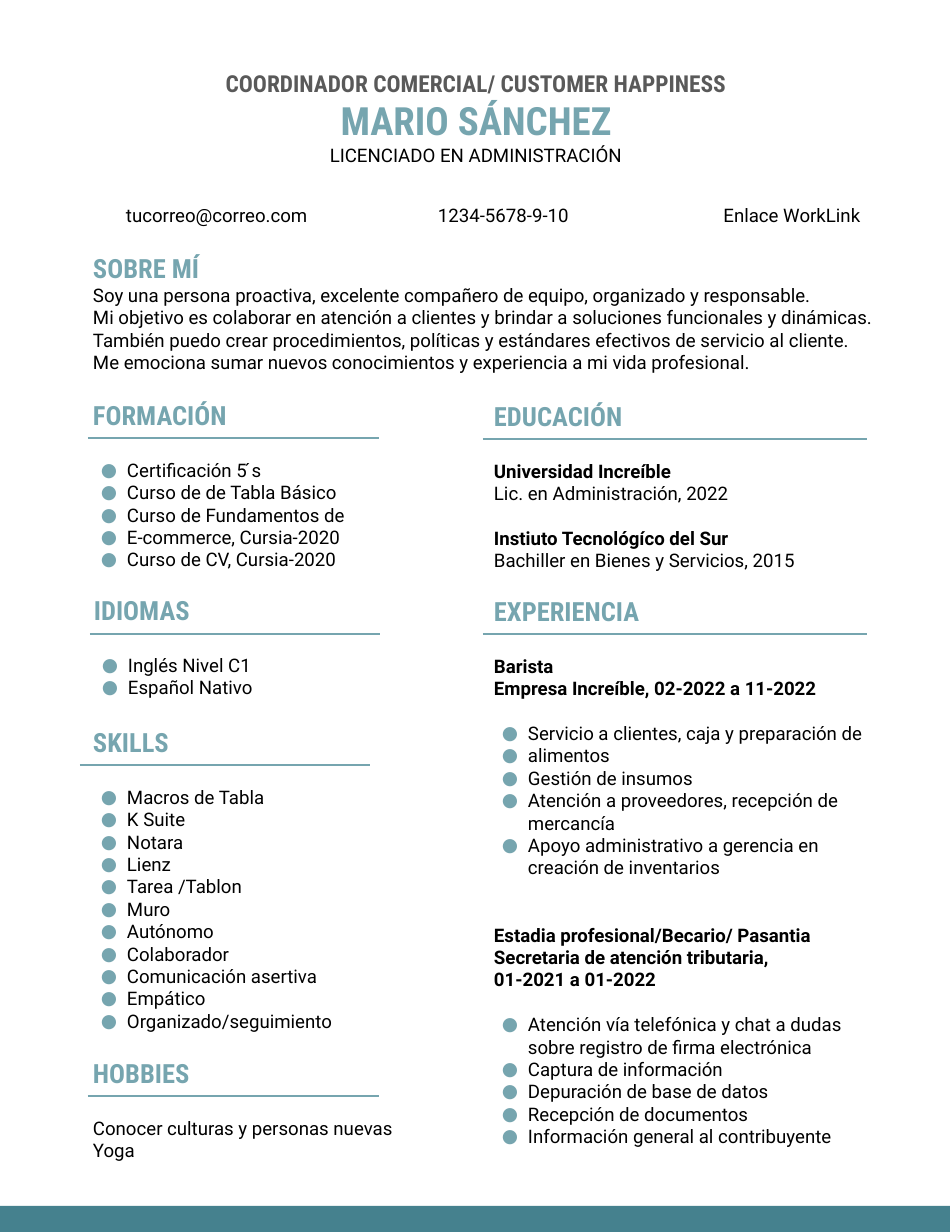
from copy import deepcopy
from lxml.etree import SubElement
from pptx import Presentation
from pptx.dml.color import RGBColor
from pptx.enum.shapes import MSO_CONNECTOR, MSO_SHAPE
from pptx.enum.text import MSO_ANCHOR, MSO_AUTO_SIZE, PP_ALIGN
from pptx.oxml.ns import qn
from pptx.util import Pt

PX = 914400 / 112
TEAL = "76A5AF"


def px(n):
    return round(n * PX)


def tint(fmt, code):
    fmt.rgb = RGBColor.from_string(code)


LEFT, MID, RIGHT = PP_ALIGN.LEFT, PP_ALIGN.CENTER, PP_ALIGN.RIGHT
looks = {
    "role": ({"name": "Roboto Condensed", "size": Pt(15), "bold": True}, "595959"),
    "name": ({"name": "Roboto Condensed", "size": Pt(25), "bold": True}, TEAL),
    "head": ({"name": "Roboto Condensed", "size": Pt(17), "bold": True}, TEAL),
    "bold": ({"name": "Roboto", "size": Pt(12), "bold": True}, "000000"),
    "text": ({"name": "Roboto", "size": Pt(12), "bold": False}, "000000"),
}
looks["list"] = looks["text"]
frame = {
    "word_wrap": True,
    "auto_size": MSO_AUTO_SIZE.SHAPE_TO_FIT_TEXT,
    "vertical_anchor": MSO_ANCHOR.TOP,
    "margin_left": px(11),
    "margin_right": px(11),
    "margin_top": px(11),
    "margin_bottom": px(11),
}

HEAD, LINE = 18, 14.4
boxes = [
    (0, (110, 58, 732, 149), MID, [
        ("role", 0, ["COORDINADOR COMERCIAL/ CUSTOMER HAPPINESS"]),
        ("name", 0, ["MARIO SÁNCHEZ"]),
        ("text", 0, ["LICENCIADO EN ADMINISTRACIÓN"]),
    ]),
    (1, (82, 388, 301, 196), LEFT, [
        ("head", 0, ["FORMACIÓN"]),
        ("list", HEAD, [
            "Certificación 5 ́s",
            "Curso de de Tabla Básico",
            "Curso de Fundamentos de",
            "E-commerce, Cursia-2020",
            "Curso de CV, Cursia-2020",
        ]),
    ]),
    (2, (83, 583, 301, 128), LEFT, [
        ("head", 0, ["IDIOMAS"]),
        ("list", HEAD, ["Inglés Nivel C1", "Español Nativo"]),
    ]),
    (3, (82, 715, 284, 332), LEFT, [
        ("head", 0, ["SKILLS"]),
        ("list", HEAD, [
            "Macros de Tabla",
            "K Suite",
            "Notara",
            "Lienz",
            "Tarea /Tablon",
            "Muro",
            "Autónomo",
            "Colaborador",
            "Comunicación asertiva",
            "Empático",
            "Organizado/seguimiento",
        ]),
    ]),
    (4, (483, 584, 405, 626), LEFT, [
        ("head", 0, ["EXPERIENCIA"]),
        ("bold", HEAD, ["Barista", "Empresa Increíble, 02-2022 a 11-2022"]),
        ("list", LINE, [
            "Servicio a clientes, caja y preparación de",
            "alimentos",
            "Gestión de insumos",
            "Atención a proveedores, recepción de mercancía",
            "Apoyo administrativo a gerencia en creación de inventarios",
        ]),
        ("bold", 2 * LINE, [
            "Estadia profesional/Becario/ Pasantia",
            "Secretaria de atención tributaria, \n01-2021 a 01-2022",
        ]),
        ("list", LINE, [
            "Atención vía telefónica y chat a dudas sobre registro de firma electrónica",
            "Captura de información",
            "Depuración de base de datos",
            "Recepción de documentos",
            "Información general al contribuyente",
        ]),
    ]),
    (None, (483, 389, 405, 218), LEFT, [
        ("head", 0, ["EDUCACIÓN"]),
        ("bold", HEAD, ["Universidad Increíble"]),
        ("text", 0, ["Lic. en Administración, 2022"]),
        ("bold", LINE, ["Instiuto Tecnológíco del Sur"]),
        ("text", 0, ["Bachiller en Bienes y Servicios, 2015"]),
    ]),
    (None, (82, 1046, 330, 151), LEFT, [
        ("head", 0, ["HOBBIES"]),
        ("text", HEAD, ["Conocer culturas y personas nuevas", "Yoga"]),
    ]),
    (None, (82, 241, 809, 146), LEFT, [
        ("head", 0, ["SOBRE MÍ"]),
        ("text", 0, [
            "Soy una persona proactiva, excelente compañero de equipo, organizado y responsable.",
            "Mi objetivo es colaborar en atención a clientes y brindar a soluciones funcionales y dinámicas. "
            "También puedo crear procedimientos, políticas y estándares efectivos de servicio al cliente. "
            "Me emociona sumar nuevos conocimientos y experiencia a mi vida profesional.",
        ]),
    ]),
    (None, (115, 193, 222, 45), LEFT, [("text", 0, ["tucorreo@correo.com"])]),
    (None, (427, 193, 194, 45), LEFT, [("text", 0, ["1234-5678-9-10"])]),
    (None, (654, 193, 222, 45), RIGHT, [("text", 0, ["Enlace WorkLink "])]),
]

deck = Presentation()
deck.slide_width, deck.slide_height = px(952), px(1232)
slide = deck.slides.add_slide(deck.slide_layouts[4])
slots = {s.placeholder_format.idx: s for s in slide.placeholders}

for slot, (x, y, w, h), align, groups in boxes:
    area = [px(n) for n in (x, y, w, h)]
    if slot is None:
        box = slide.shapes.add_textbox(*area)
    else:
        box = slots[slot]
        box.left, box.top, box.width, box.height = area
    body = box.text_frame
    for key, val in frame.items():
        setattr(body, key, val)
    rows = [(kind, 0 if i else gap, text)
            for kind, gap, texts in groups for i, text in enumerate(texts)]
    for i, (kind, gap, text) in enumerate(rows):
        para = body.add_paragraph() if i else body.paragraphs[0]
        para.text = text
        para.alignment = align
        para.space_before = Pt(gap)
        prop = para._p.get_or_add_pPr()
        dot = kind == "list"
        prop.set("marL", str(px(34) if dot else 0))
        prop.set("indent", str(px(-26) if dot else 0))
        if dot:
            tone = SubElement(prop, qn("a:buClr"))
            SubElement(tone, qn("a:srgbClr"), val=TEAL)
            SubElement(prop, qn("a:buFont"), typeface="Roboto")
            SubElement(prop, qn("a:buChar"), char="●")
        else:
            SubElement(prop, qn("a:buNone"))
        font, code = looks[kind]
        for run in para.runs:
            for key, val in font.items():
                setattr(run.font, key, val)
            tint(run.font.color, code)
        for gap_el in para._p.findall(qn("a:br")):
            gap_el.append(deepcopy(para.runs[0]._r.rPr))

rules = [(88, 438, 291), (90, 634, 290), (80, 765, 290), (88, 1096, 291),
         (483, 439, 384), (483, 634, 384)]
for x, y, w in rules:
    rule = slide.shapes.add_connector(
        MSO_CONNECTOR.STRAIGHT, px(x), px(y), px(x + w), px(y))
    tint(rule.line.color, TEAL)
    rule.line.width = Pt(0.75)
    SubElement(rule._element.spPr, qn("a:effectLst"))

band = slide.shapes.add_shape(MSO_SHAPE.RECTANGLE, px(-2), px(1206), px(952), px(26))
band.shadow.inherit = False
band.fill.solid()
tint(band.fill.fore_color, "45818E")
band.line.fill.background()

deck.save("out.pptx")
